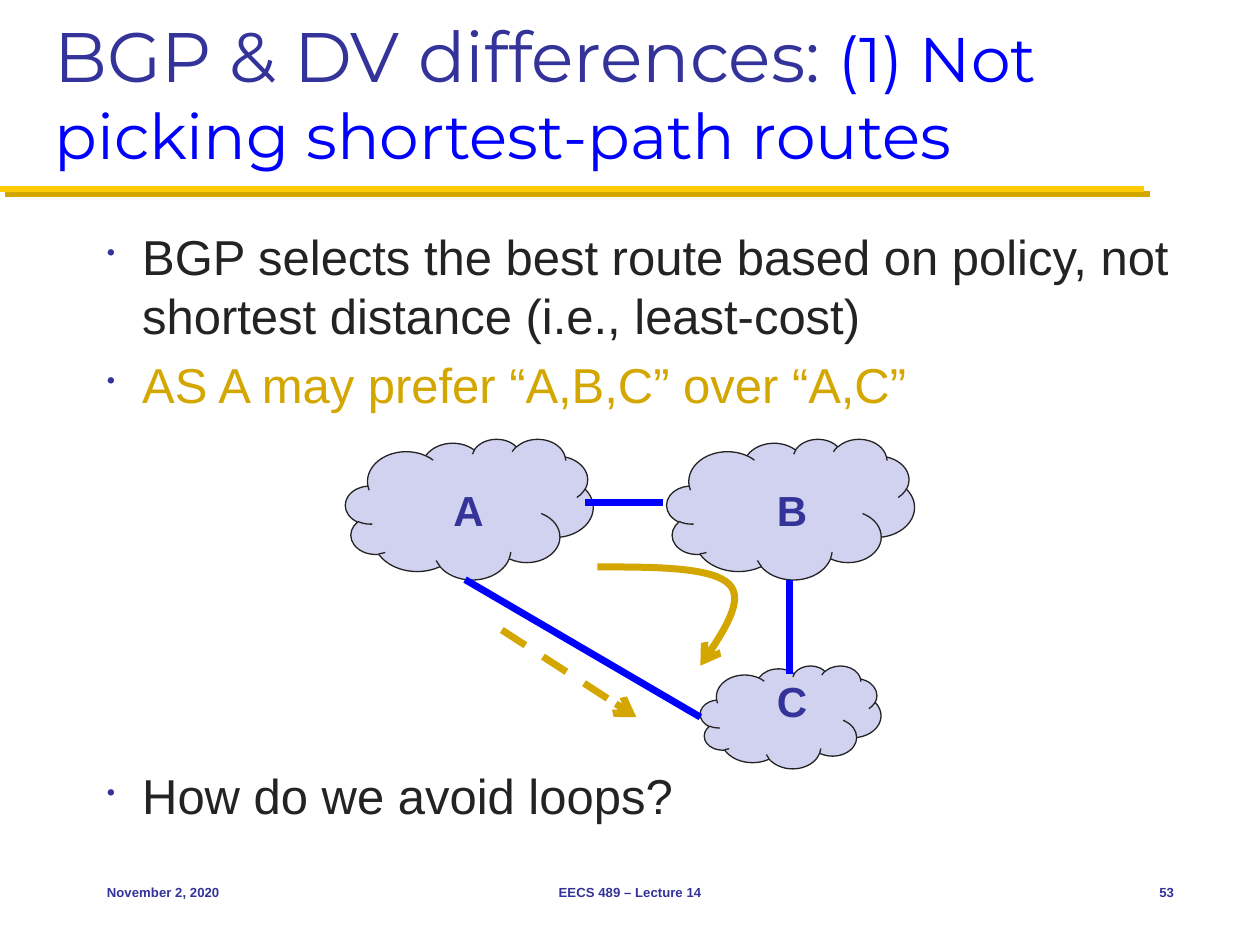
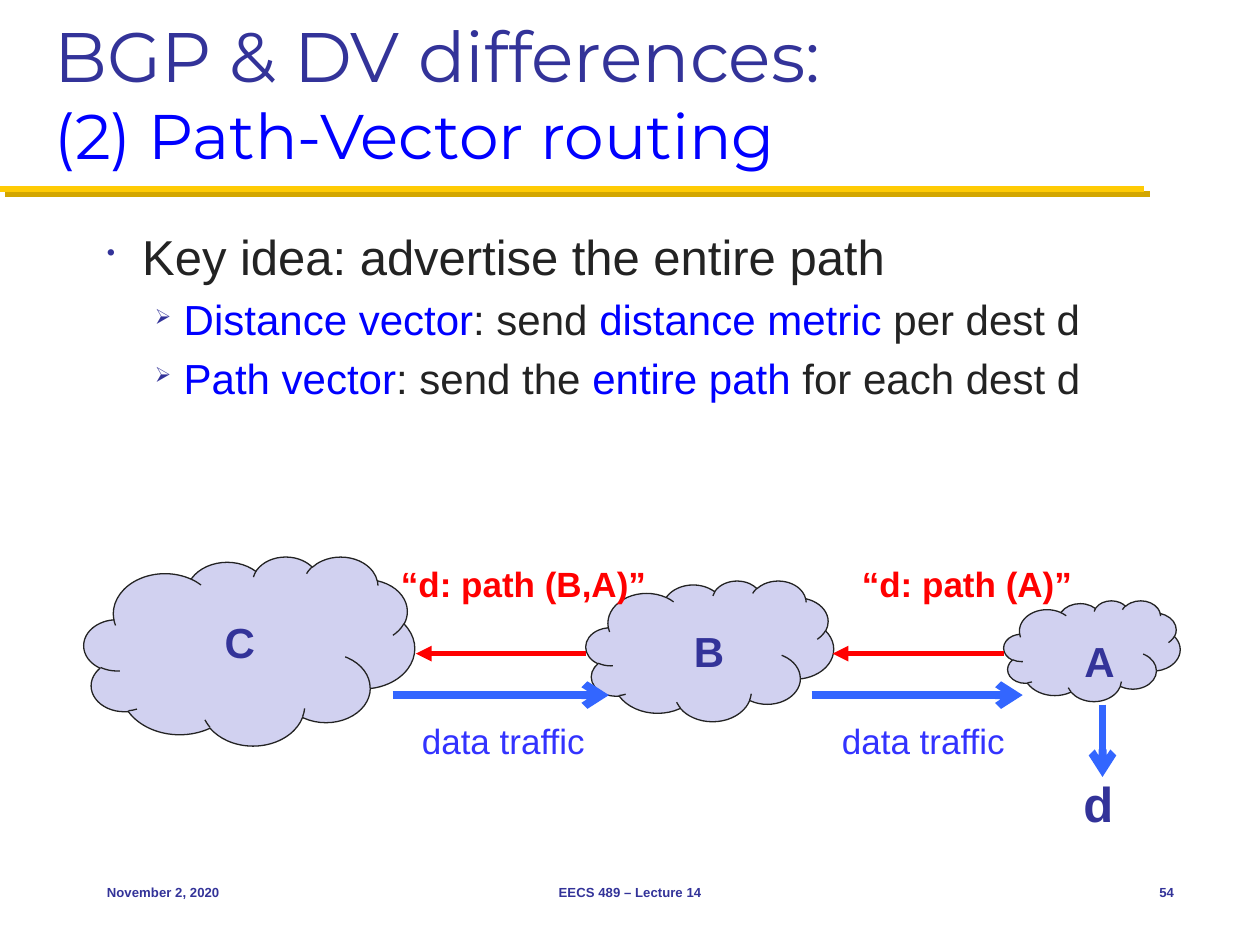
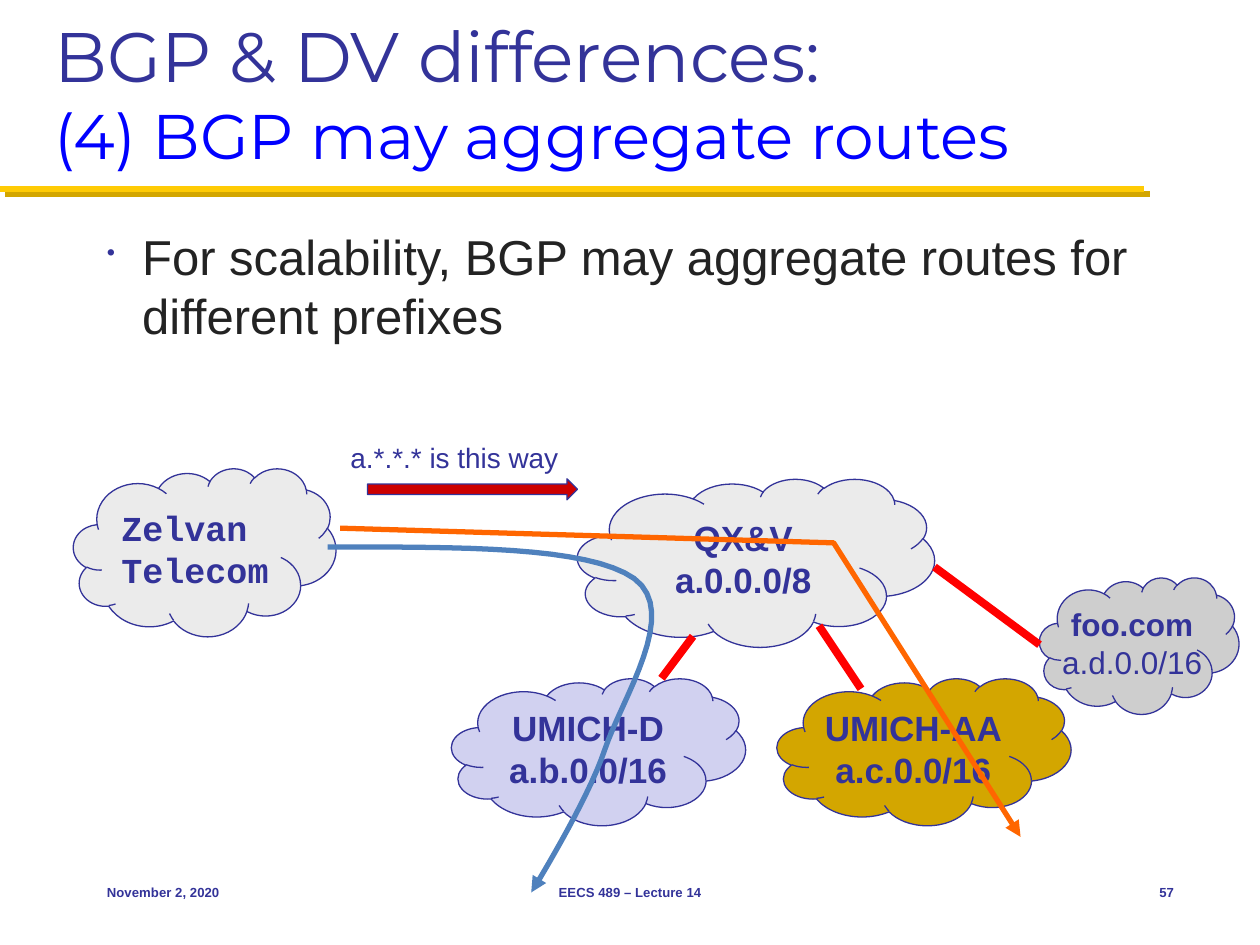
from lxml import etree
from pptx import Presentation
from pptx.dml.color import RGBColor
from pptx.enum.dml import MSO_LINE
from pptx.enum.shapes import MSO_CONNECTOR, MSO_SHAPE
from pptx.enum.text import MSO_ANCHOR, MSO_AUTO_SIZE, PP_ALIGN
from pptx.oxml.ns import qn
from pptx.util import Inches, Pt

STRAIGHT = MSO_CONNECTOR.STRAIGHT
CLOUD, ARROW = MSO_SHAPE.CLOUD, MSO_SHAPE.RIGHT_ARROW
TOP, MIDDLE, BOTTOM = MSO_ANCHOR.TOP, MSO_ANCHOR.MIDDLE, MSO_ANCHOR.BOTTOM
LEFT, CENTER, RIGHT = PP_ALIGN.LEFT, PP_ALIGN.CENTER, PP_ALIGN.RIGHT


class Theme:
    navy, blue, ink = "333399", "0000FF", "232323"
    maize, gold, red = "FFCB05", "D3A600", "FF0000"
    lilac, pale, grey, crimson = "D1D1F0", "EBEBEB", "CECECE", "CC0000"
    traffic, traffic_text = "3366FF", "3333FF"
    steel, orange = "4F81BD", "FF6600"
    heading, body, mono = "Montserrat", "Arial", "Courier New"
    title, subtitle, bullet, sub_bullet = 40, 36, 28, 24
    node, label, small, note, footer = 24, 20, 18, 16, 7.5


T = Theme
prs = Presentation()
prs.slide_width, prs.slide_height = Inches(10), Inches(7.5)
U = prs.slide_width / 120  # square grid: 120 columns by 90 rows


def put(s, at, runs, size=T.label, color=T.navy, bold=False, font=T.body, align=LEFT,
        anchor=TOP, wrap=False, preset=None, fill=T.lilac, edge=T.navy):
    """Add a text box or a preset shape; runs are (text, overrides) pairs, "\\n" breaks the line."""
    at = [round(v * U) for v in at]
    if preset is None:
        sp = s.shapes.add_textbox(*at)
    else:
        sp = s.shapes.add_shape(preset, *at)
        sp.shadow.inherit = False
        sp.fill.solid()
        sp.fill.fore_color.rgb = RGBColor.from_string(fill)
        sp.line.color.rgb = RGBColor.from_string(edge)
        sp.line.width = Pt(0.75)
    tf = sp.text_frame
    tf.word_wrap, tf.vertical_anchor = wrap, anchor
    if preset is None and anchor == TOP and not wrap:
        tf.auto_size = MSO_AUTO_SIZE.SHAPE_TO_FIT_TEXT
    p = tf.paragraphs[0]
    p.alignment = align
    for text, own in runs:
        if text == "\n":
            p.add_line_break()
            continue
        r = p.add_run()
        r.text = text
        r.font.name = font
        r.font.size = Pt(own.get("size", size))
        r.font.bold = own.get("bold", bold)
        r.font.color.rgb = RGBColor.from_string(own.get("color", color))
    return sp


def stroke(s, points, color, width, head=None, dash=None):
    """Join grid points with a connector, or with an open outline when there are more than two."""
    pts = [(round(x * U), round(y * U)) for x, y in points]
    if len(pts) == 2:
        sp = s.shapes.add_connector(STRAIGHT, *pts[0], *pts[1])
        etree.SubElement(sp._element.spPr, qn("a:effectLst"))
    else:
        outline = s.shapes.build_freeform(*pts[0])
        outline.add_line_segments(pts[1:], close=False)
        sp = outline.convert_to_shape()
        sp.fill.background()
        sp.shadow.inherit = False
    sp.line.color.rgb = RGBColor.from_string(color)
    sp.line.width = Pt(width)
    if dash:
        sp.line.dash_style = dash
    if head:
        etree.SubElement(sp.line._get_or_add_ln(), qn("a:tailEnd"), type=head)
    return sp


# Titles and bullets; a bullet is (level, extra space above in points, runs)
ink, blue = {"color": T.ink}, {"color": T.blue}
pages = [
    ("53", [("(1) Not picking shortest-path routes ", blue)], [
        (0, 0, [("BGP selects the best route based on policy, not shortest distance "
                 "(i.e., least-cost) ", ink)]),
        (0, 0, [("AS A may prefer “A,B,C” over “A,C”", {"color": T.gold})]),
        (0, 196, [("How do we avoid loops? ", ink)])]),
    ("54", [("\n", {}), ("(2) Path-Vector routing", blue)], [
        (0, 0, [("Key idea: advertise the entire path", ink)]),
        (1, 0, [("Distance vector", blue), (": send ", ink),
                ("distance metric", blue), (" per dest d", ink)]),
        (1, 0, [("Path vector", blue), (": send the ", ink),
                ("entire path", blue), (" for each dest d", ink)])]),
    ("57", [("\n", {}), ("(4) BGP may aggregate routes", blue)], [
        (0, 0, [("For scalability, BGP may aggregate routes for different prefixes", ink)])]),
]
# Per level: left margin, hanging indent, mark, size
levels = [(0.28, 0.28, "•", T.bullet), (0.61, 0.23, "➢", T.sub_bullet)]

# Shared frame of every slide
for number, subtitle, bullets in pages:
    s = prs.slides.add_slide(prs.slide_layouts[6])

    # Rule under the title, with its hard gold shadow
    rule = stroke(s, [(0, 18), (109, 18)], T.maize, 3.5)
    effects = rule._element.spPr.find(qn("a:effectLst"))
    shadow = etree.SubElement(effects, qn("a:outerShdw"), dist=str(Pt(4.2)), dir="2700000")
    etree.SubElement(shadow, qn("a:srgbClr"), val=T.gold)

    # Title
    put(s, (4, 2, 112, 15), [("BGP & DV differences: ", {"size": T.title})] + subtitle,
        size=T.subtitle, font=T.heading, anchor=BOTTOM, wrap=True)

    # Bullets
    tf = put(s, (9, 21, 104, 58), [], wrap=True).text_frame
    for i, (level, gap, runs) in enumerate(bullets):
        margin, hang, mark, size = levels[level]
        p = tf.paragraphs[0] if i == 0 else tf.add_paragraph()
        p.level = level
        p.space_before = Pt(0.2 * size + gap)
        pPr = p._p.get_or_add_pPr()
        pPr.set("marL", str(Inches(margin)))
        pPr.set("indent", str(-Inches(hang)))
        tint = etree.SubElement(pPr, qn("a:buClr"))
        etree.SubElement(tint, qn("a:srgbClr"), val=T.navy)
        etree.SubElement(pPr, qn("a:buSzPct"), val="50000")
        etree.SubElement(pPr, qn("a:buChar"), char=mark)
        for text, own in runs:
            r = p.add_run()
            r.text = text
            r.font.name, r.font.size = T.body, Pt(size)
            r.font.color.rgb = RGBColor.from_string(own["color"])

    # Footer
    for left, width, text, align in [(9, 25, "November 2, 2020", LEFT),
                                     (41, 38, "EECS 489 – Lecture 14", CENTER),
                                     (105, 8, number, RIGHT)]:
        put(s, (left, 82, width, 6), [(text, {})], size=T.footer, bold=True,
            align=align, anchor=MIDDLE)

policy, vector, aggregate = prs.slides

# Curved routes: each is a start and cubic pieces (two handles and an end)
curves = []
for start, pieces in [
    ((56.9, 54), [((62.3, 54), (67.7, 54), (69.4, 55.6)),
                  ((71, 57.1), (68.9, 60.2), (66.7, 63.4))]),
    ((31.2, 52.1), [((43.7, 52.1), (56, 52), (60.4, 55.1)),
                    ((64.8, 58.3), (59.3, 66.4), (57.6, 71.4)),
                    ((56, 76.3), (50.6, 85), (50.6, 85))]),
]:
    points = [start]
    for b, c, d in pieces:
        a = points[-1]
        for t in [k / 16 for k in range(1, 17)]:
            u = 1 - t
            points.append([u**3 * a[n] + 3 * u * u * t * b[n] + 3 * u * t * t * c[n]
                           + t**3 * d[n] for n in (0, 1)])
    curves.append(points)
preferred_route, blue_route = curves

# Slide 1: preferred route, direct route, clouds, links, names
stroke(policy, preferred_route, T.gold, 4, "arrow")
stroke(policy, [(47.8, 60), (60.6, 68.3)], T.gold, 4, "arrow", MSO_LINE.DASH)
for at in [(66.7, 63.4, 17.2, 9.8), (63.5, 41.8, 23.6, 13.4), (32.9, 41.8, 23.6, 13.4)]:
    put(policy, at, [], preset=CLOUD, edge=T.ink)
for link in [[(55.7, 47.9), (63.1, 47.9)], [(44.3, 55.2), (66.7, 68.3)],
             [(75.2, 55.2), (75.2, 64.2)]]:
    stroke(policy, link, T.blue, 4)
for name, x, y in [("A", 42, 45.6), ("B", 72.8, 45.6), ("C", 72.8, 63.7)]:
    put(policy, (x, y, 5.4, 6), [(name, {})], size=T.node, bold=True)

# Slide 2: clouds with names
for name, at, x, y in [("C", (8, 53, 31.5, 18), 20.2, 58.1),
                       ("B", (55.8, 55.3, 23.6, 13.4), 64.9, 59),
                       ("A", (95.6, 57.2, 16.8, 9.6), 102.1, 59.9)]:
    put(vector, at, [], preset=CLOUD, edge=T.ink)
    put(vector, (x, y, 5.4, 6), [(name, {})], size=T.node, bold=True)

# Slide 2: data traffic, advertised paths, destination
for arrow in [[(77.3, 66.2), (97.4, 66.2)], [(37.4, 66.2), (58, 66.2)], [(105, 67.1), (105, 74)]]:
    stroke(vector, arrow, T.traffic, 4.5, "arrow")
for start, end in [(55.8, 39.6), (95.6, 79.3)]:
    stroke(vector, [(start, 62.25), (end, 62.25)], T.red, 3, "triangle")
for text, x, width in [("“d: path (B,A)”", 37, 25.9), ("“d: path (A)”", 80.9, 22.6)]:
    put(vector, (x, 53, width, 5.3), [(text, {})], color=T.red, bold=True)
for x in (39, 79):
    put(vector, (x, 67.9, 18, 5.3), [("data traffic", {})], color=T.traffic_text)
put(vector, (102, 73.1, 5.3, 6.8), [("d", {})], size=T.bullet, bold=True)

# Slide 3: networks and their prefixes
plain = {"bold": False}
for at, fill, first, second, own, font, size, align in [
    ((55, 45.6, 34, 16), T.pale, "QX&V", "a.0.0.0/8", {}, T.body, T.label, CENTER),
    ((7, 44.6, 25, 16), T.pale, "Zelvan ", "Telecom", {}, T.mono, T.label, RIGHT),
    ((43, 64.6, 28, 14), T.lilac, "UMICH-D", "a.b.0.0/16", {}, T.body, T.label, CENTER),
    ((74, 64.6, 28, 14), T.gold, "UMICH-AA", "a.c.0.0/16", {}, T.body, T.label, CENTER),
    ((99, 55, 19, 13), T.grey, "foo.com", "a.d.0.0/16", plain, T.body, T.small, CENTER),
]:
    put(aggregate, at, [(first, {}), ("\n", {}), (second, own)], size=size, bold=True,
        font=font, align=align, anchor=MIDDLE, preset=CLOUD, fill=fill)

# Slide 3: links, routes, advertisement
for link in [[(66, 60.6), (63, 64.6)], [(78, 59.6), (82, 65.6)], [(89, 54), (99, 61.4)]]:
    stroke(aggregate, link, T.red, 4.5)
stroke(aggregate, blue_route, T.steel, 3, "triangle")
stroke(aggregate, [(32.4, 50.3), (79.4, 51.7), (97.2, 79.7)], T.orange, 3, "triangle")
put(aggregate, (35, 45.6, 20, 2), [], preset=ARROW, fill=T.crimson)
put(aggregate, (32.2, 41.4, 22.6, 4.4), [("a.*.*.* is this way", {})], size=T.note)

prs.save("out.pptx")
